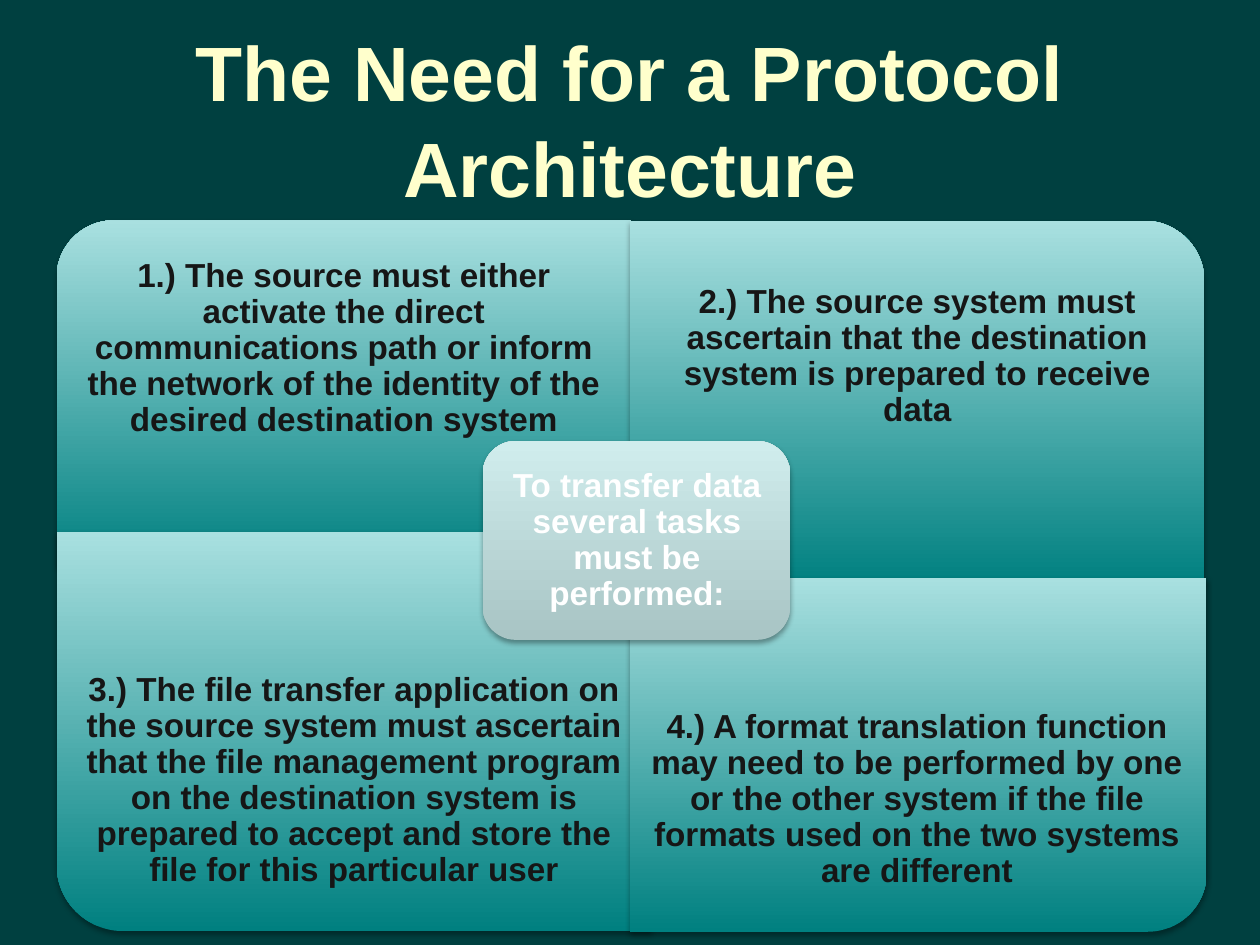
"""Build a slide with four task panels around a central heading."""
from lxml import etree
from pptx import Presentation
from pptx.dml.color import RGBColor
from pptx.enum.shapes import MSO_SHAPE
from pptx.enum.text import MSO_ANCHOR, MSO_AUTO_SIZE, PP_ALIGN
from pptx.oxml.ns import qn
from pptx.util import Cm, Pt

CENTER = PP_ALIGN.CENTER
MIDDLE = MSO_ANCHOR.MIDDLE
NO_FIT = MSO_AUTO_SIZE.NONE
PANEL = MSO_SHAPE.ROUND_1_RECTANGLE
HUB = MSO_SHAPE.ROUNDED_RECTANGLE

COLORS = {
    "background": "004040",
    "title": "FFFFCC",
    "panel_dark": "008080",
    "panel_light": "A9E0E0",
    "panel_text": "161616",
    "hub_dark": "A8C4C4",
    "hub_light": "D0EDED",
    "hub_text": "FFFFFF",
    "shadow": "000000",
}
TILES = [
    ("panel", PANEL, 270, (3.45, 2.13, 6.96, 11.58), (1.14, 4.42, 11.58, 5.21), 0.38,
     "1.) The source must either activate the direct communications path or inform "
     "the network of the identity of the desired destination system"),
    ("panel", PANEL, 0, (12.7, 4.45, 11.58, 7.32), (12.7, 4.45, 11.58, 5.49), 0.38,
     "2.) The source system must ascertain that the destination system is prepared "
     "to receive data"),
    ("panel", PANEL, 180, (1.14, 10.72, 11.99, 8.05), (1.14, 12.73, 11.99, 6.02), 0.38,
     "3.) The file transfer application on the source system must ascertain that the "
     "file management program on the destination system is prepared to accept and "
     "store the file for this particular user"),
    ("panel", PANEL, 90, (14.94, 9.4, 7.14, 11.63), (12.67, 13.44, 11.63, 5.36), 0.38,
     "4.) A format translation function may need to be performed by one or the other "
     "system if the file formats used on the two systems are different"),
    ("hub", HUB, 0, (9.73, 8.89, 6.2, 4.01), (9.93, 9.09, 5.82, 3.61), 0.2,
     "To transfer data several tasks must be performed:"),
]


def write_text(box, text, size, color, inset, spacing):
    frame = box.text_frame
    frame.text = text
    frame_format = {"word_wrap": True, "auto_size": NO_FIT, "vertical_anchor": MIDDLE}
    for side in ("left", "top", "right", "bottom"):
        frame_format[f"margin_{side}"] = Cm(inset)
    for name, value in frame_format.items():
        setattr(frame, name, value)
    para = frame.paragraphs[0]
    para.alignment = CENTER
    para.line_spacing = spacing
    font = para.runs[0].font
    for name, value in {"name": "Arial", "size": Pt(size), "bold": True}.items():
        setattr(font, name, value)
    font.color.rgb = RGBColor.from_string(COLORS[color])


def add_shadow(shape):
    shape.shadow.inherit = False
    effects = shape._element.spPr.find(qn("a:effectLst"))
    shadow = etree.SubElement(effects, qn("a:outerShdw"), blurRad=str(Pt(3.1)),
                              dist=str(Pt(1.8)), dir="5400000", rotWithShape="0")
    color = etree.SubElement(shadow, qn("a:srgbClr"), val=COLORS["shadow"])
    etree.SubElement(color, qn("a:alpha"), val="35000")


deck = Presentation()
deck.slide_width, deck.slide_height = Cm(25.4), Cm(19.05)
page = deck.slides.add_slide(deck.slide_layouts[5])
page.background.fill.solid()
page.background.fill.fore_color.rgb = RGBColor.from_string(COLORS["background"])

title = page.shapes.title
title_place = {"left": 1.27, "top": 0.76, "width": 22.86, "height": 3.18}
for name, value in title_place.items():
    setattr(title, name, Cm(value))
write_text(title, "The Need for a Protocol Architecture", 44, "title", 0.2, 1.04)

for role, outline, turn, shape_place, text_place, inset, text in TILES:
    tile = page.shapes.add_shape(outline, *map(Cm, shape_place))
    tile.rotation = turn
    tile.line.fill.background()
    tile.fill.gradient()
    tile.fill.gradient_angle = 90
    for stop, shade in zip(tile.fill.gradient_stops, ("dark", "light")):
        stop.color.rgb = RGBColor.from_string(COLORS[f"{role}_{shade}"])
    tile._element.spPr.find(qn("a:gradFill")).set("rotWithShape", "0")
    add_shadow(tile)
    box = page.shapes.add_textbox(*map(Cm, text_place))
    write_text(box, text, 19, f"{role}_text", inset, 0.9)

deck.save("out.pptx")
